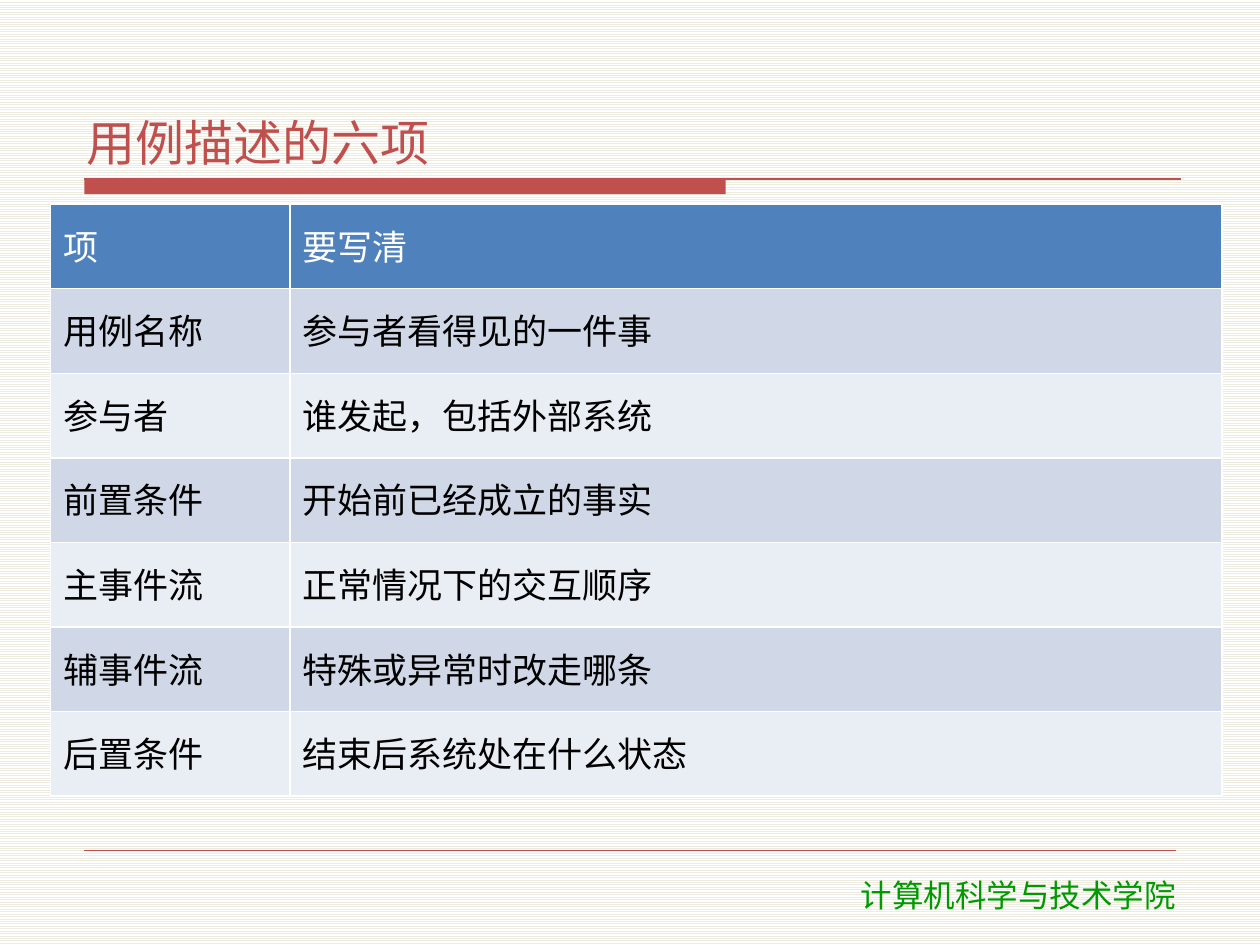
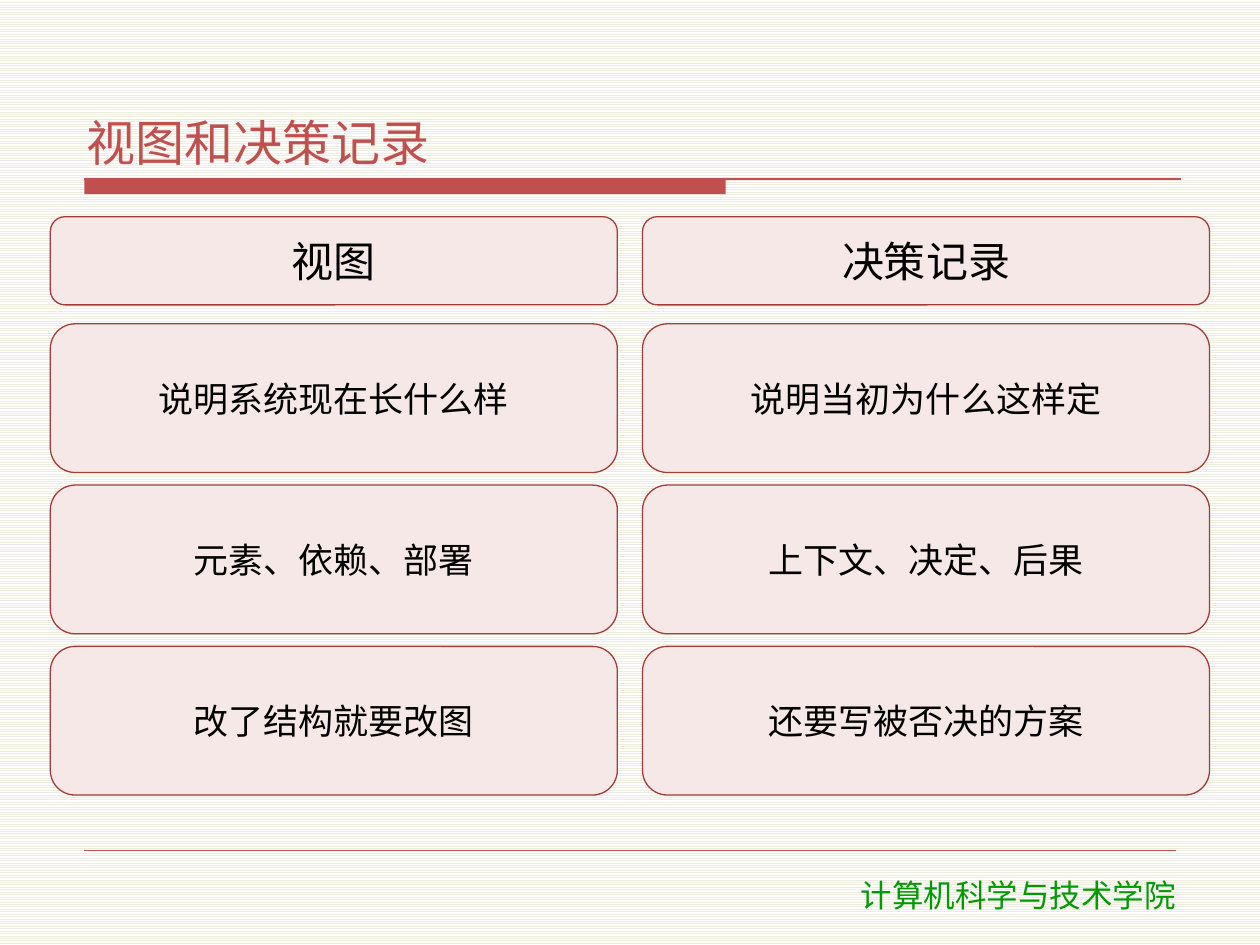
import dataclasses

import pptx
import pptx.dml.color
import pptx.enum.dml
import pptx.enum.shapes
import pptx.enum.text
import pptx.oxml.ns
import pptx.util
from lxml import etree

PX = 9144  # EMU in one px, at 100 px to the inch
ALIGN = pptx.enum.text.PP_ALIGN
ANCHOR = pptx.enum.text.MSO_ANCHOR
SHAPE = pptx.enum.shapes.MSO_SHAPE
qn = pptx.oxml.ns.qn


@dataclasses.dataclass(frozen=True)
class Theme:
    accent: str = "C0504D"
    stripe: str = "EEECE1"
    white: str = "FFFFFF"
    ink: str = "000000"
    school: str = "009900"
    card: str = "F6E8E6"
    card_edge: str = "A33B38"
    table_head: str = "4F81BD"
    table_bands: tuple = ("D0D8E8", "E9EDF4")
    font: str = "Noto Sans CJK SC"
    footer_font: str = "DejaVu Sans"
    title_size: int = 28
    heading_size: int = 24
    body_size: int = 20
    footer_size: int = 18


THEME = Theme()
TIGHT = (6, 2, 6, 2)     # left, top, right, bottom insets
REGULAR = (10, 5, 10, 5)


def px(*lengths):
    return [pptx.util.Emu(length * PX) for length in lengths]


def rgb(value):
    return pptx.dml.color.RGBColor.from_string(value)


# Text

def write(frame, text, *, size=THEME.body_size, color=THEME.ink, font=THEME.font,
          align=ALIGN.LEFT, after=2, line_spacing=None):
    para = frame.paragraphs[0]
    para.alignment = align
    para.space_before = pptx.util.Pt(0)
    para.space_after = pptx.util.Pt(after)
    if line_spacing:
        para.line_spacing = line_spacing
    span = para.add_run()
    span.text = text
    span.font.size = pptx.util.Pt(size)
    span.font.bold = False
    span.font.color.rgb = rgb(color)
    span.font.name = font
    etree.SubElement(span.font._element, qn("a:ea"), typeface=font)


def set_frame(frame, insets, anchor):
    frame.word_wrap = True
    frame.vertical_anchor = anchor
    (frame.margin_left, frame.margin_top,
     frame.margin_right, frame.margin_bottom) = px(*insets)


def add_text(page, area, text, *, insets=REGULAR, anchor=ANCHOR.TOP, **style):
    box = page.shapes.add_textbox(*px(*area))
    set_frame(box.text_frame, insets, anchor)
    write(box.text_frame, text, **style)


# Shapes and lines

def add_block(page, kind, area, fill, edge=None):
    block = page.shapes.add_shape(kind, *px(*area))
    block.shadow.inherit = False
    block.fill.solid()
    block.fill.fore_color.rgb = rgb(fill)
    if edge:
        block.line.color.rgb = rgb(edge)
        block.line.width = pptx.util.Pt(0.75)
    else:
        block.line.fill.background()
    return block


def add_rule(page, left, right, y, weight):
    rule = page.shapes.add_connector(
        pptx.enum.shapes.MSO_CONNECTOR.STRAIGHT, *px(left, y, right, y))
    rule.line.color.rgb = rgb(THEME.accent)
    rule.line.width = pptx.util.Pt(weight)
    etree.SubElement(rule._element.spPr, qn("a:effectLst"))


def add_card(page, area, text, size):
    card = add_block(page, SHAPE.ROUNDED_RECTANGLE, area, THEME.card, THEME.card_edge)
    set_frame(card.text_frame, TIGHT, ANCHOR.MIDDLE)
    write(card.text_frame, text, size=size, align=ALIGN.CENTER)


# Table

def set_borders(cell, color, weight):
    properties = cell._tc.get_or_add_tcPr()
    for side in ("lnL", "lnR", "lnT", "lnB"):
        line = etree.SubElement(properties, qn("a:" + side),
                                w=str(pptx.util.Pt(weight)))
        fill = etree.SubElement(line, qn("a:solidFill"))
        etree.SubElement(fill, qn("a:srgbClr"), val=color)


def add_item_table(page, area, column_widths, rows):
    table = page.shapes.add_table(len(rows), len(column_widths), *px(*area)).table
    for column, width in zip(table.columns, px(*column_widths)):
        column.width = width
    for row_index, row in enumerate(rows):
        is_head = row_index == 0
        fill = THEME.table_head if is_head else THEME.table_bands[(row_index - 1) % 2]
        for column_index, text in enumerate(row):
            cell = table.cell(row_index, column_index)
            set_borders(cell, THEME.white, 1)
            cell.fill.solid()
            cell.fill.fore_color.rgb = rgb(fill)
            cell.vertical_anchor = ANCHOR.MIDDLE
            write(cell.text_frame, text, line_spacing=0.9,
                  color=THEME.white if is_head else THEME.ink)


# Shared page frame

def add_page(deck, title):
    page = deck.slides.add_slide(deck.slide_layouts[6])
    background = page.background.fill
    background.patterned()
    background.pattern = pptx.enum.dml.MSO_PATTERN.LIGHT_HORIZONTAL
    background.fore_color.rgb = rgb(THEME.stripe)
    background.back_color.rgb = rgb(THEME.white)

    add_block(page, SHAPE.RECTANGLE, (67, 142, 509, 12), THEME.accent)
    add_rule(page, 67, 937, 142, 0.75)
    add_rule(page, 67, 933, 675, 0.25)
    add_text(page, (607, 690, 402, 40), "计算机科学与技术学院", font=THEME.footer_font,
             size=THEME.footer_size, color=THEME.school, align=ALIGN.CENTER, after=0)
    add_text(page, (63, 33, 875, 105), title, insets=TIGHT, anchor=ANCHOR.BOTTOM,
             size=THEME.title_size, color=THEME.accent)
    return page


# Pages

def build_use_case_items(deck):
    page = add_page(deck, "用例描述的六项")
    add_item_table(page, (40, 162, 930, 470), (190, 740), [
        ("项", "要写清"),
        ("用例名称", "参与者看得见的一件事"),
        ("参与者", "谁发起，包括外部系统"),
        ("前置条件", "开始前已经成立的事实"),
        ("主事件流", "正常情况下的交互顺序"),
        ("辅事件流", "特殊或异常时改走哪条"),
        ("后置条件", "结束后系统处在什么状态"),
    ])


def build_views_and_decisions(deck):
    page = add_page(deck, "视图和决策记录")
    columns = [
        ("视图", "说明系统现在长什么样", "元素、依赖、部署", "改了结构就要改图"),
        ("决策记录", "说明当初为什么这样定", "上下文、决定、后果", "还要写被否决的方案"),
    ]
    width, height, column_gap, row_gap = 450, 118, 20, 10
    for column_index, (heading, *points) in enumerate(columns):
        left = 40 + column_index * (width + column_gap)
        add_card(page, (left, 172, width, 70), heading, THEME.heading_size)
        for point_index, point in enumerate(points):
            top = 257 + point_index * (height + row_gap)
            add_card(page, (left, top, width, height), point, THEME.body_size)


def main():
    deck = pptx.Presentation()
    deck.slide_width, deck.slide_height = px(1000, 750)
    build_use_case_items(deck)
    build_views_and_decisions(deck)
    deck.save("out.pptx")


if __name__ == "__main__":
    main()
